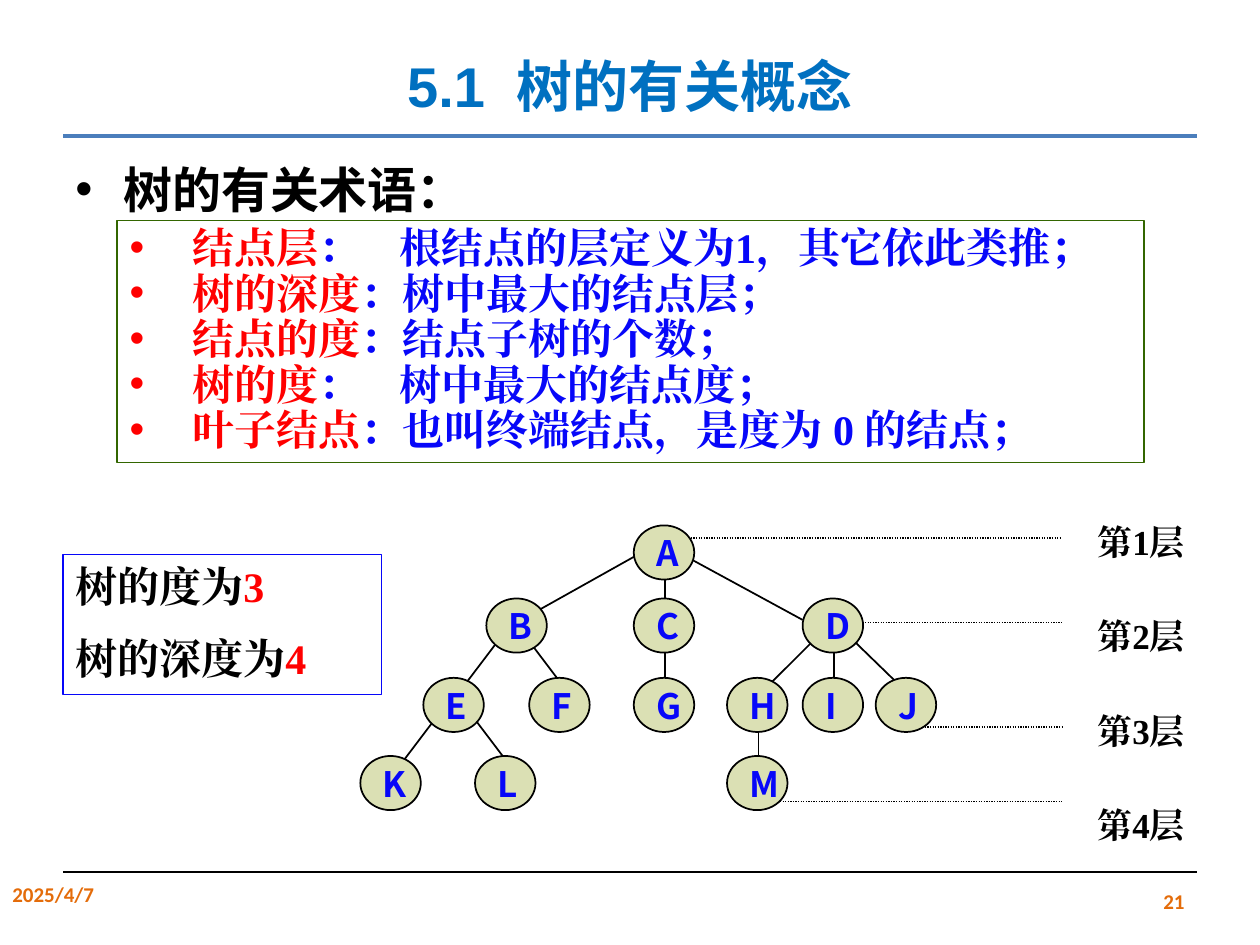
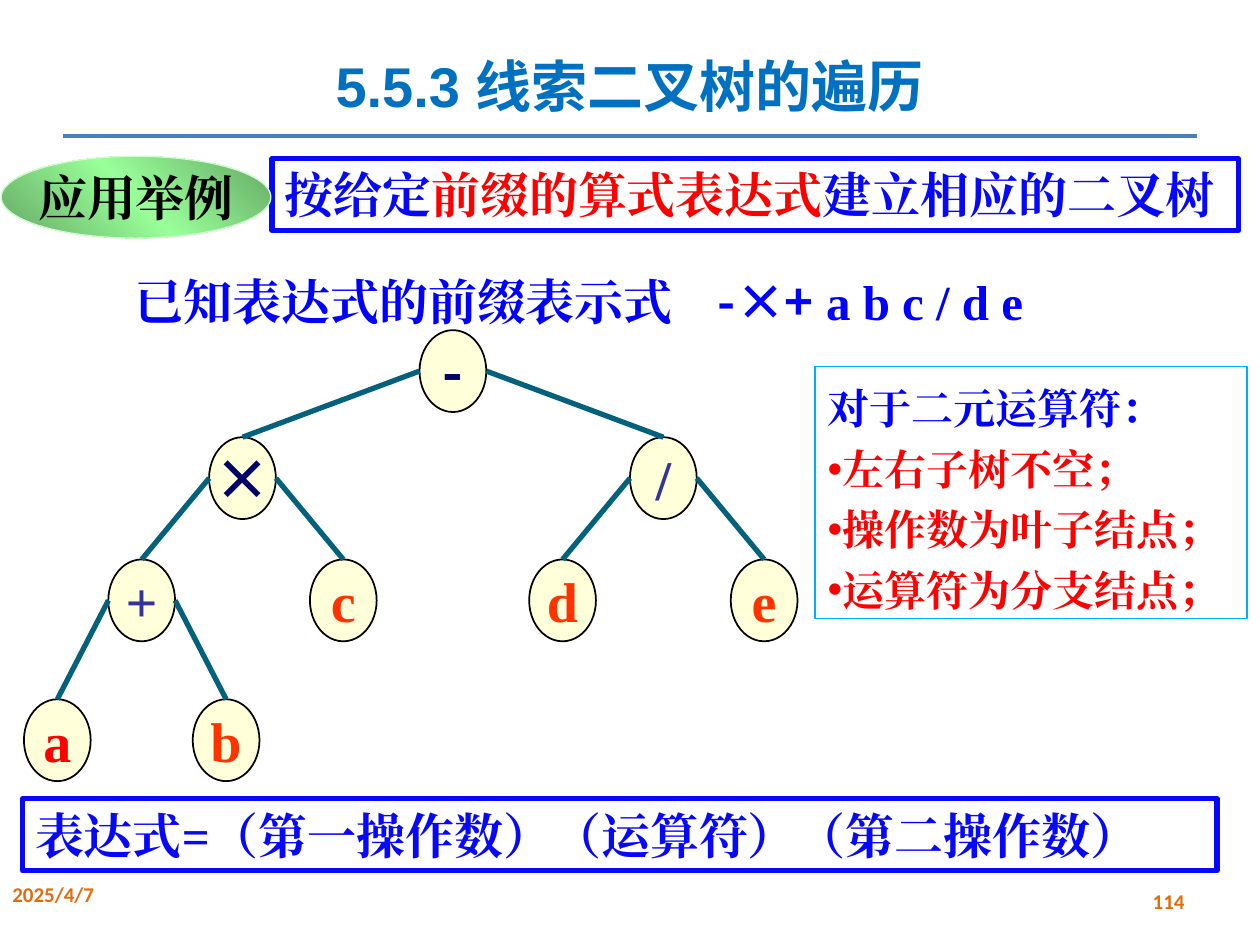
import copy

import pptx
import pptx.dml.color
import pptx.enum.dml
import pptx.enum.shapes
import pptx.enum.text
import pptx.oxml.ns
import pptx.util
from lxml import etree

Inches, Pt = pptx.util.Inches, pptx.util.Pt
RGBColor = pptx.dml.color.RGBColor
SHAPE = pptx.enum.shapes.MSO_SHAPE
ALIGN = pptx.enum.text.PP_ALIGN
ANCHOR = pptx.enum.text.MSO_ANCHOR
DASH = pptx.enum.dml.MSO_LINE
qn = pptx.oxml.ns.qn

BLACK = RGBColor(0x00, 0x00, 0x00)
RED = RGBColor(0xFF, 0x00, 0x00)
BLUE = RGBColor(0x07, 0x07, 0xF9)
PURE_BLUE = RGBColor(0x00, 0x00, 0xFF)
SKY = RGBColor(0x00, 0xB0, 0xF0)
GREEN = RGBColor(0x33, 0x66, 0x00)
TITLE_BLUE = RGBColor(0x00, 0x70, 0xC0)
RULE_BLUE = RGBColor(0x4B, 0x7E, 0xBC)
FOOTER_ORANGE = RGBColor(0xE4, 0x6C, 0x0A)
NODE_OLIVE = RGBColor(0xDB, 0xE0, 0xB4)
NODE_CREAM = RGBColor(0xFF, 0xFF, 0xD9)
EDGE_TEAL = RGBColor(0x04, 0x61, 0x7B)
OPERAND = RGBColor(0xFF, 0x33, 0x00)
NAVY = RGBColor(0x00, 0x00, 0x66)
INDIGO = RGBColor(0x33, 0x33, 0x99)
BADGE_DARK = RGBColor(0x65, 0xA8, 0x65)
BADGE_LIGHT = RGBColor(0x99, 0xFF, 0x99)
BADGE_EDGE = RGBColor(0xCC, 0xFF, 0xCC)
SERIF, SANS, HEAVY, TITLE_FONT = "Times New Roman", "Calibri", "Noto Sans CJK SC", "Arial"


def add_text(slide, box, paragraphs, size, font=SERIF, preset=None, fill=None, line=None,
             align=None, anchor=ANCHOR.TOP, wrap=True, spacing=None, before=0, after=0,
             bullets_from=None, hanging=0, tab=None):
    """Each paragraph is a list of runs: (text, colour) or (text, colour, font)."""
    box = [Inches(length) for length in box]
    if preset is None:
        shape = slide.shapes.add_textbox(*box)
    else:
        shape = slide.shapes.add_shape(preset, *box)
        shape.shadow.inherit = False
        if fill is None:
            shape.fill.background()
        else:
            shape.fill.solid()
            shape.fill.fore_color.rgb = fill
        shape.line.color.rgb, shape.line.width = line[0], Pt(line[1])
    frame = shape.text_frame
    frame.word_wrap = wrap
    frame.vertical_anchor = anchor
    for index, runs in enumerate(paragraphs):
        paragraph = frame.add_paragraph() if index else frame.paragraphs[0]
        paragraph.alignment = align or ALIGN.LEFT
        if spacing:
            paragraph.line_spacing = spacing
        paragraph.space_before = Pt(before if index else 0)
        paragraph.space_after = Pt(after)
        properties = paragraph._p.get_or_add_pPr()
        if bullets_from is not None and index >= bullets_from:
            properties.set("marL", str(Inches(hanging)))
            properties.set("indent", str(-Inches(hanging)))
            etree.SubElement(properties, qn("a:buFont"), typeface="Arial")
            etree.SubElement(properties, qn("a:buChar"), char="•")
        if tab:
            tabs = etree.SubElement(properties, qn("a:tabLst"))
            etree.SubElement(tabs, qn("a:tab"), pos=str(Inches(tab)), algn="l")
        for text, colour, *own_font in runs:
            run = paragraph.add_run()
            run.text = text
            run.font.size, run.font.bold = Pt(size), True
            run.font.color.rgb = colour
            run.font.name = own_font[0] if own_font else font
            etree.SubElement(run._r.get_or_add_rPr(), qn("a:ea"), typeface=run.font.name)
    return shape


def add_line(slide, start, end, colour, width, dash=None):
    connector = slide.shapes.add_connector(
        pptx.enum.shapes.MSO_CONNECTOR.STRAIGHT, *[Inches(length) for length in (*start, *end)])
    connector.line.color.rgb, connector.line.width = colour, Pt(width)
    if dash:
        connector.line.dash_style = dash
    etree.SubElement(connector._element.spPr, qn("a:effectLst"))


presentation = pptx.Presentation()
presentation.slide_width, presentation.slide_height = Inches(10), Inches(7.5)

# Shared title, rules, date and page number
slides = []
for title, number in [("5.1  树的有关概念", "21"), ("5.5.3 线索二叉树的遍历", "114")]:
    slide = presentation.slides.add_slide(presentation.slide_layouts[6])
    slides.append(slide)
    add_line(slide, (0.5, 1.08), (9.5, 1.08), RULE_BLUE, 2.75)
    add_line(slide, (0.5, 6.92), (9.5, 6.92), BLACK, 0.75)
    add_text(slide, (0.5, 0, 9, 1.09), [[(title, TITLE_BLUE)]], 32, TITLE_FONT,
             align=ALIGN.CENTER, anchor=ANCHOR.MIDDLE, spacing=1.5, after=1.6)
    add_text(slide, (0, 6.95, 2.33, 0.4), [[("2025/4/7", FOOTER_ORANGE)]], 12, SANS)
    add_text(slide, (7.17, 6.95, 2.33, 0.4), [[(number, FOOTER_ORANGE)]], 12, SANS,
             align=ALIGN.RIGHT, anchor=ANCHOR.MIDDLE)
terms_slide, expression_slide = slides

# Slide 1: tree terms
add_text(terms_slide, (0.5, 1.25, 9, 0.5), [[("树的有关术语：", BLACK)]], 28, SANS,
         align=ALIGN.JUSTIFY, spacing=Pt(31), bullets_from=0, hanging=0.38)
terms = [
    ("结点层", "：\t根结点的层定义为1，其它依此类推；"),
    ("树的深度", "：树中最大的结点层；"),
    ("结点的度", "：结点子树的个数；"),
    ("树的度", "：\t树中最大的结点度；"),
    ("叶子结点", "：也叫终端结点，是度为 0 的结点；"),
]
add_text(terms_slide, (0.93, 1.75, 8.15, 1.92),
         [[(term, RED), (meaning, BLUE)] for term, meaning in terms], 24,
         preset=SHAPE.RECTANGLE, line=(GREEN, 1), spacing=Pt(26),
         bullets_from=0, hanging=0.5, tab=2.14)
add_text(terms_slide, (0.5, 4.4, 2.53, 1.11),
         [[("树的度为", BLACK), ("3", RED)], [("树的深度为", BLACK), ("4", RED)]], 24,
         preset=SHAPE.RECTANGLE, line=(BLUE, 0.75), before=12)

for level, (leader_x, leader_y) in enumerate([(5.36, 4.27), (6.62, 4.94), (7.34, 5.77), (6.17, 6.36)]):
    add_line(terms_slide, (leader_x, leader_y), (8.43, leader_y), BLACK, 0.75, DASH.ROUND_DOT)
    add_text(terms_slide, (8.61, 4.08 + 0.75 * level, 1.26, 0.43), [[(f"第{level + 1}层", BLACK)]], 20)

branches = [
    (5.28, 4.59, 5.28, 4.75), (5.03, 4.42, 4.28, 4.84), (5.45, 4.42, 6.37, 4.92),
    (3.95, 5.09, 3.7, 5.42), (4.2, 5.09, 4.45, 5.42), (5.28, 5.17, 5.28, 5.42),
    (6.45, 5.09, 6.12, 5.42), (6.62, 5.17, 6.62, 5.42), (6.78, 5.09, 7.12, 5.42),
    (3.45, 5.71, 3.2, 6.04), (3.77, 5.71, 4.02, 6.04), (6.02, 5.79, 6.02, 6.04),
]
for branch in branches:
    add_line(terms_slide, branch[:2], branch[2:], BLACK, 1)

tree_levels = [
    (4.17, {"A": 5.03}),
    (4.75, {"B": 3.86, "C": 5.03, "D": 6.37}),
    (5.38, {"E": 3.36, "F": 4.2, "G": 5.03, "H": 5.77, "I": 6.37, "J": 6.95}),
    (6, {"K": 2.86, "L": 3.77, "M": 5.77}),
]
for top, nodes in tree_levels:
    for letter, left in nodes.items():
        add_text(terms_slide, (left, top, 0.48, 0.43), [], 20, preset=SHAPE.OVAL,
                 fill=NODE_OLIVE, line=(BLACK, 1))
        add_text(terms_slide, (left + 0.08, top, 0.48, 0.43), [[(letter, BLUE)]], 20, HEAVY)

# Slide 2: binary tree of a prefix expression
add_text(expression_slide, (2.16, 1.26, 7.67, 0.57),
         [[("按给定", BLUE), ("前缀的算式表达式", RED), ("建立相应的二叉树", BLUE)]], 28,
         preset=SHAPE.RECTANGLE, line=(BLUE, 3))
badge = add_text(expression_slide, (0.01, 1.24, 2.14, 0.65), [[("应用举例", BLACK)]], 28,
                 preset=SHAPE.OVAL, line=(BADGE_EDGE, 0.75), align=ALIGN.CENTER,
                 anchor=ANCHOR.MIDDLE, wrap=False)
badge.fill.gradient()
badge.fill.gradient_angle = 45
first_stop = badge.fill.gradient_stops[0]._gs
first_stop.addnext(copy.deepcopy(first_stop))
for stop, position, colour in zip(badge.fill.gradient_stops, (0, 0.5, 1),
                                  (BADGE_DARK, BADGE_LIGHT, BADGE_DARK)):
    stop.position = position
    stop.color.rgb = colour

add_text(expression_slide, (0.97, 2.01, 9, 0.62),
         [[("已知表达式的前缀表示式\t", PURE_BLUE), ("-×+", PURE_BLUE, HEAVY),
           (" a b c / d e", PURE_BLUE)]], 28, spacing=1.2, tab=4.63)
add_text(expression_slide, (0.18, 6.34, 9.48, 0.57),
         [[("表达式=（第一操作数）（运算符）（第二操作数）", BLUE)]], 28,
         preset=SHAPE.RECTANGLE, line=(BLUE, 3))

NODE_WIDTH, NODE_HEIGHT = 0.53, 0.65
expression_nodes = {
    "-": (3.33, 2.62, NAVY, HEAVY), "×": (1.66, 3.47, NAVY, HEAVY),
    "/": (5, 3.47, INDIGO, SERIF), "+": (0.86, 4.44, INDIGO, SERIF),
    "a": (0.19, 5.55, RED, SERIF), "b": (1.53, 5.55, OPERAND, SERIF),
    "c": (2.46, 4.44, OPERAND, SERIF), "d": (4.2, 4.44, OPERAND, SERIF),
    "e": (5.8, 4.44, OPERAND, SERIF),
}
for symbol, (left, top, colour, font) in expression_nodes.items():
    add_text(expression_slide, (left, top, NODE_WIDTH, NODE_HEIGHT), [[(symbol, colour)]], 32, font,
             preset=SHAPE.OVAL, fill=NODE_CREAM, line=(BLACK, 1), align=ALIGN.CENTER,
             anchor=ANCHOR.MIDDLE, wrap=False)
for operator, operands in {"-": "×/", "×": "+c", "/": "de", "+": "ab"}.items():
    left, top = expression_nodes[operator][:2]
    for side, operand in enumerate(operands):
        child_left, child_top = expression_nodes[operand][:2]
        add_line(expression_slide, (left + side * NODE_WIDTH, top + NODE_HEIGHT / 2),
                 (child_left + NODE_WIDTH / 2, child_top), EDGE_TEAL, 3)

rules = ["左右子树不空；", "操作数为叶子结点；", "运算符为分支结点；"]
add_text(expression_slide, (6.47, 2.91, 3.43, 2),
         [[("对于二元运算符：", PURE_BLUE)]] + [[(rule, RED)] for rule in rules], 24,
         preset=SHAPE.RECTANGLE, line=(SKY, 1), wrap=False, spacing=1.2, bullets_from=1)

presentation.save("out.pptx")
